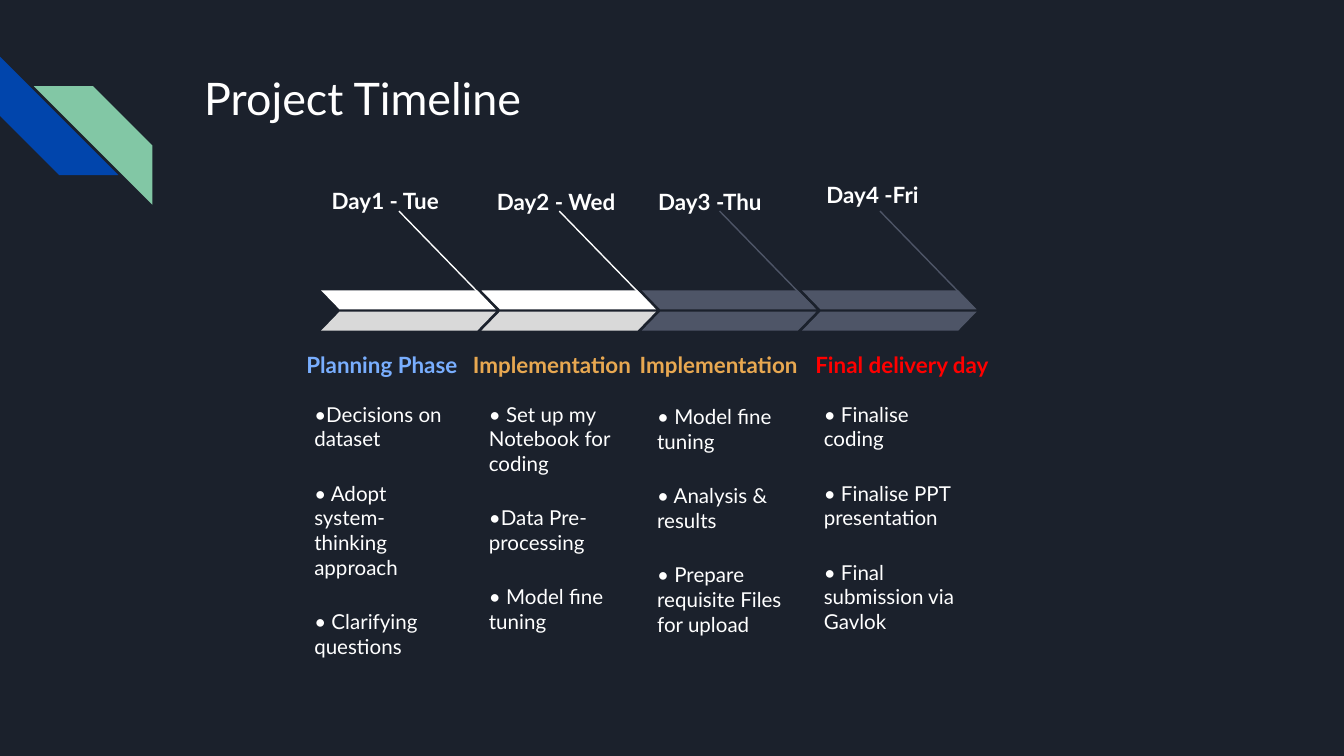
from dataclasses import dataclass

from lxml.etree import SubElement
from pptx import Presentation
from pptx.dml.color import RGBColor
from pptx.enum.shapes import MSO_CONNECTOR, MSO_SHAPE
from pptx.enum.text import MSO_ANCHOR, MSO_AUTO_SIZE, PP_ALIGN
from pptx.oxml.ns import qn
from pptx.util import Cm, Pt

COLORS = {
    "background": "1B212C",
    "blue": "0145AC",
    "green": "82C7A5",
    "white": "FFFFFF",
    "gray": "D9D9D9",
    "slate": "4E5567",
    "planning": "79AEFE",
    "implementation": "E8A851",
    "delivery": "FF0000",
}
FONTS = {
    "title": {"name": "Lato", "size": Pt(24), "bold": False},
    "heading": {"name": "Lato", "size": Pt(12), "bold": True},
    "task": {"name": "Lato", "size": Pt(11), "bold": False},
}
FRAME = {
    "word_wrap": True,
    "auto_size": MSO_AUTO_SIZE.NONE,
    "margin_left": Cm(0.25),
    "margin_right": Cm(0.25),
    "margin_top": Cm(0.25),
    "margin_bottom": Cm(0.25),
}
PHASE_PITCH = 3.03


@dataclass
class Phase:
    """Content of one day, with (x, y) nudges of its three texts."""

    day: str
    name: str
    tasks: list
    name_color: str
    band_colors: tuple
    day_shift: tuple
    name_shift: tuple
    task_shift: tuple
    name_width: float = 3.63


PHASES = [
    Phase("Day1 - Tue", "Planning Phase",
          ["•Decisions on dataset", "• Adopt system-thinking approach", "• Clarifying questions"],
          "planning", ("white", "gray"), (-0.05, 0), (-0.53, 0), (-0.38, 0)),
    Phase("Day2 - Wed", "Implementation",
          ["• Set up my Notebook for coding", "•Data Pre-processing", "• Model fine tuning"],
          "implementation", ("white", "gray"), (0.04, 0.02), (-0.41, 0), (-0.11, 0)),
    Phase("Day3 -Thu", "Implementation",
          ["• Model fine tuning", "• Analysis & results", "• Prepare requisite Files for upload"],
          "implementation", ("slate", "slate"), (0.06, 0.02), (-0.29, 0), (0.04, 0.05)),
    Phase("Day4 -Fri", "Final delivery day",
          ["• Finalise coding", "• Finalise PPT presentation", "• Final submission via Gavlok"],
          "delivery", ("slate", "slate"), (0.21, -0.1), (0, 0), (0.16, 0), 4.55),
]


def color(name):
    """Look up a palette color."""
    return RGBColor.from_string(COLORS[name])


def set_attributes(target, values):
    """Set every named value on the target."""
    for name, value in values.items():
        setattr(target, name, value)


def write_text(shape, lines, font, color_name, anchor=MSO_ANCHOR.TOP, space_after=0):
    """Fill a shape with one formatted paragraph per line."""
    frame = shape.text_frame
    set_attributes(frame, {**FRAME, "vertical_anchor": anchor})
    for index, line in enumerate(lines):
        paragraph = frame.add_paragraph() if index else frame.paragraphs[0]
        paragraph.text = line
        set_attributes(paragraph, {"alignment": PP_ALIGN.LEFT, "space_before": Pt(0),
                                   "space_after": Pt(space_after)})
        set_attributes(paragraph.font, FONTS[font])
        paragraph.font.color.rgb = color(color_name)


def add_text(slide, box, *text, **options):
    """Add a text box at a box given in centimetres."""
    write_text(slide.shapes.add_textbox(*map(Cm, box)), *text, **options)


def add_solid(slide, kind, box, color_name, adjustment, flip=False):
    """Add a plain filled preset shape."""
    shape = slide.shapes.add_shape(kind, *map(Cm, box))
    shape.shadow.inherit = False
    shape.fill.solid()
    shape.fill.fore_color.rgb = color(color_name)
    shape.line.fill.background()
    shape.adjustments[0] = adjustment
    if flip:
        shape._element.spPr.find(qn("a:xfrm")).set("flipH", "1")
    return shape


def add_leader(slide, left, top, width, height, color_name):
    """Add a thin slanted line across a box."""
    line = slide.shapes.add_connector(
        MSO_CONNECTOR.STRAIGHT, Cm(left), Cm(top), Cm(left + width), Cm(top + height))
    line.line.color.rgb = color(color_name)
    line.line.width = Pt(0.75)
    SubElement(line._element.spPr, qn("a:effectLst"))


def draw_stripes(slide, left, top, size):
    """Draw the two corner stripes."""
    blue = add_solid(slide, MSO_SHAPE.DIAGONAL_STRIPE, (left, top, size, size), "blue", 0.5)
    blue.rotation = 270
    add_solid(slide, MSO_SHAPE.DIAGONAL_STRIPE, (left + 0.64, top + 0.56, size, size),
              "green", 0.5, flip=True)


def draw_title(slide, left, top, width, height):
    """Place and write the slide title."""
    title = slide.shapes.title
    set_attributes(title, {"left": Cm(left), "top": Cm(top),
                           "width": Cm(width), "height": Cm(height)})
    write_text(title, ["Project Timeline"], "title", "white")


def draw_phase(slide, left, top, phase):
    """Draw one day with its label, arrow band, name and tasks."""
    def place(shift, y, width, height):
        return left + shift[0], top + y + shift[1], width, height

    add_text(slide, place(phase.day_shift, 0, 3.15, 0.58), [phase.day], "heading", "white")
    add_text(slide, place(phase.name_shift, 2.99, phase.name_width, 1.12), [phase.name],
             "heading", phase.name_color, anchor=MSO_ANCHOR.BOTTOM)
    add_text(slide, place(phase.task_shift, 4.06, 3.15, 5.8), phase.tasks,
             "task", "white", space_after=16)
    add_leader(slide, left + 1.47, top + 0.71, 1.78, 1.83, phase.band_colors[0])
    for row, band_color in enumerate(phase.band_colors):
        add_solid(slide, MSO_SHAPE.PARALLELOGRAM, (left, top + 2.21 + 0.4 * row, 3.3, 0.36),
                  band_color, 0.97, flip=row == 0)


def draw_timeline(slide, left, top):
    """Draw the days side by side at an equal pitch."""
    for index, phase in enumerate(PHASES):
        draw_phase(slide, left + index * PHASE_PITCH, top, phase)


def main():
    """Build and save the presentation."""
    presentation = Presentation()
    presentation.slide_width, presentation.slide_height = Cm(25.4), Cm(14.29)
    slide = presentation.slides.add_slide(presentation.slide_layouts.get_by_name("Title Only"))
    slide.background.fill.solid()
    slide.background.fill.fore_color.rgb = color("background")
    draw_stripes(slide, 0, 1.07, 2.24)
    draw_title(slide, 3.61, 1.09, 19.56, 2.54)
    draw_timeline(slide, 6.07, 3.28)
    presentation.save("out.pptx")


if __name__ == "__main__":
    main()
